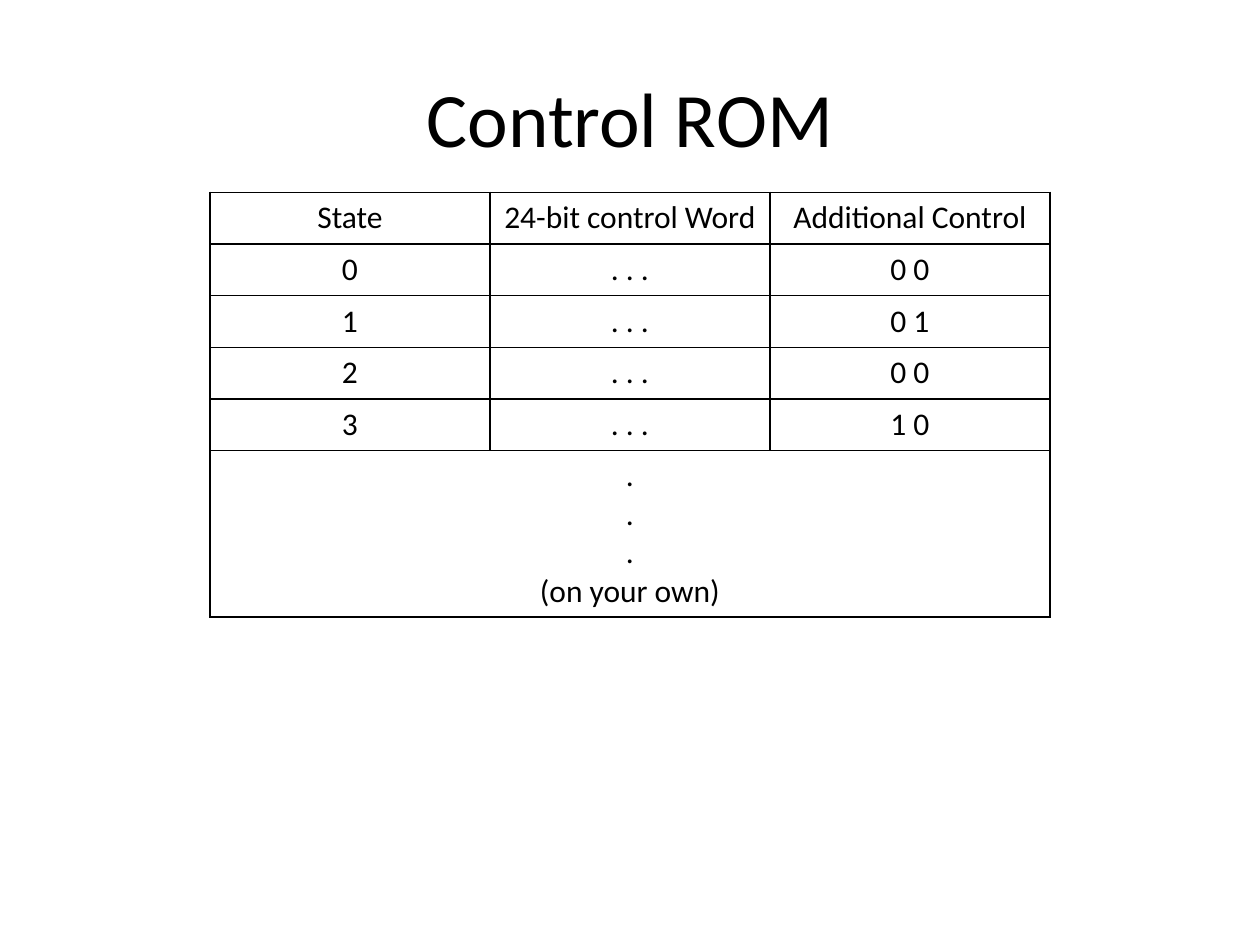
from dataclasses import dataclass

from lxml.etree import SubElement
from pptx import Presentation
from pptx.dml.color import RGBColor
from pptx.enum.text import MSO_ANCHOR, PP_ALIGN
from pptx.oxml.ns import qn
from pptx.util import Inches, Pt

INK = "000000"
ROW = 0.41  # height of a one-line row
LAST = 1.3  # height of the closing row


@dataclass
class Box:
    """A place on the slide, in shares of its width and height."""
    left: float
    top: float
    width: float
    height: float


@dataclass
class State:
    name: str
    word: str
    extra: str


HEAD = State("State", "24-bit control Word", "Additional Control")
STATES = [State(str(num), ". . .", bits)
          for num, bits in enumerate(("0 0", "0 1", "0 0", "1 0"))]
CLOSE = "\n".join([".", ".", ".", "(on your own)"])


def color(code: str) -> RGBColor:
    return RGBColor.from_string(code)


def write(frame, text: str, size: float) -> None:
    frame.text = text
    style = {"name": "Calibri", "size": Pt(size), "bold": False}
    for para in frame.paragraphs:
        para.alignment = PP_ALIGN.CENTER
        for key, value in style.items():
            setattr(para.font, key, value)
        para.font.color.rgb = color(INK)


def border(cell, code: str, width: float) -> None:
    props = cell._tc.get_or_add_tcPr()
    for side in ("lnL", "lnR", "lnT", "lnB"):
        line = SubElement(props, qn(f"a:{side}"), w=str(Pt(width)))
        fill = SubElement(line, qn("a:solidFill"))
        SubElement(fill, qn("a:srgbClr"), val=code)


def place(deck, box: Box) -> tuple[int, int, int, int]:
    wide, high = deck.slide_width, deck.slide_height
    return (int(box.left * wide), int(box.top * high),
            int(box.width * wide), int(box.height * high))


def add_title(deck, slide, box: Box, text: str) -> None:
    title = slide.shapes.title
    spots = ("left", "top", "width", "height")
    for key, value in zip(spots, place(deck, box)):
        setattr(title, key, value)
    title.text_frame.vertical_anchor = MSO_ANCHOR.MIDDLE
    write(title.text_frame, text, 44)


def add_states(deck, slide, box: Box) -> None:
    lines = [HEAD, *STATES]
    table = slide.shapes.add_table(len(lines) + 1, 3, *place(deck, box)).table
    for flag in ("first_row", "horz_banding"):
        setattr(table, flag, False)
    for row in table.rows:
        row.height = Inches(ROW)
    table.rows[len(lines)].height = Inches(LAST)

    # Plain cells with thin rules
    for cell in table.iter_cells():
        border(cell, INK, 1)
        cell.fill.background()

    # Heading and one row per state
    for row, line in enumerate(lines):
        for col, text in enumerate((line.name, line.word, line.extra)):
            write(table.cell(row, col).text_frame, text, 18)

    # Closing row across all columns
    close = table.cell(len(lines), 0)
    close.merge(table.cell(len(lines), 2))
    write(close.text_frame, CLOSE, 18)


def main() -> None:
    deck = Presentation()
    deck.slide_width, deck.slide_height = Inches(10), Inches(7.5)
    slide = deck.slides.add_slide(deck.slide_layouts[5])
    add_title(deck, slide, Box(0.05, 0.04, 0.9, 1 / 6), "Control ROM")
    add_states(deck, slide, Box(1 / 6, 0.2037, 2 / 3, 0.44))
    deck.save("out.pptx")


if __name__ == "__main__":
    main()
